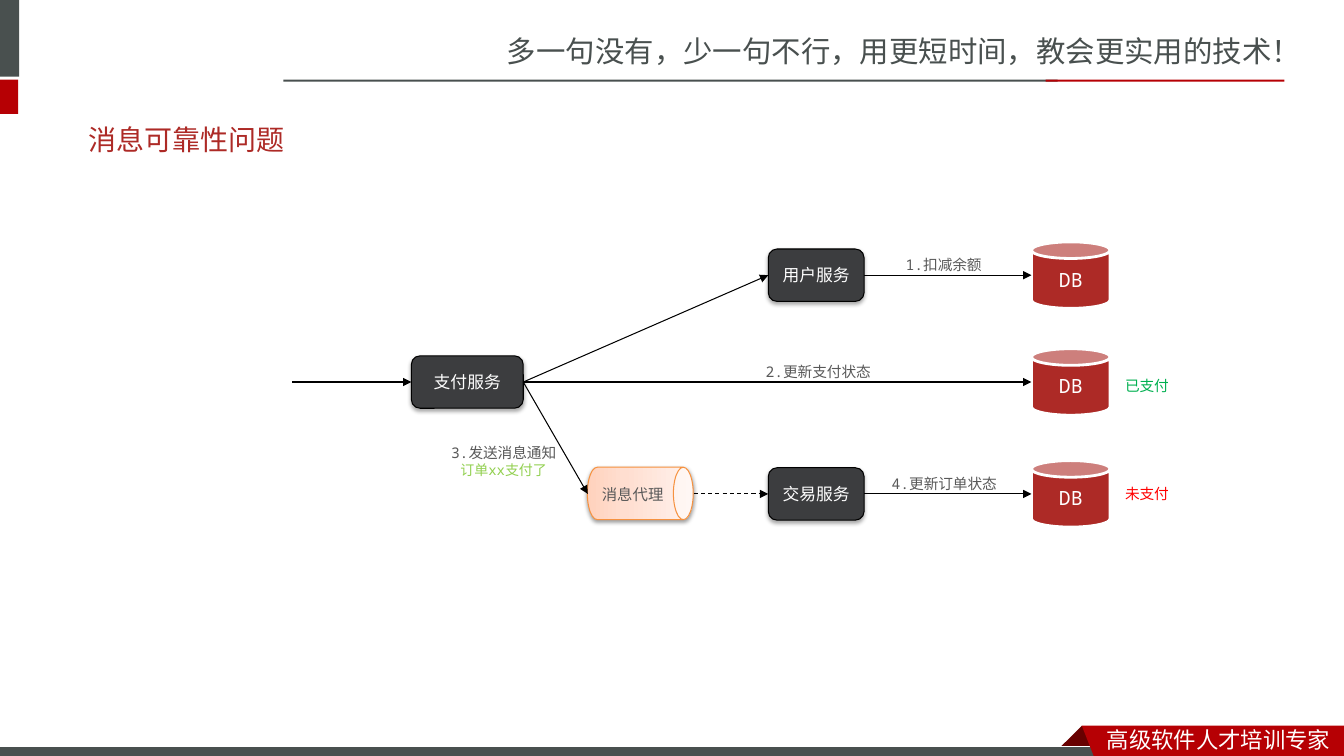
from pptx import Presentation
from pptx.dml.color import RGBColor
from pptx.enum import dml, shapes, text
from pptx.oxml import parse_xml
from pptx.oxml.ns import nsdecls, qn
from pptx.util import Inches, Pt
from lxml import etree

SLATE = RGBColor(0x49, 0x50, 0x4F)
RED = RGBColor(0xB6, 0x00, 0x04)
DARKRED = RGBColor(0x68, 0x00, 0x00)
BRICK = RGBColor(0xAD, 0x2A, 0x26)
COAL = RGBColor(0x3C, 0x3D, 0x3F)
GREY = RGBColor(0x59, 0x59, 0x59)
ORANGE = RGBColor(0xF6, 0x92, 0x40)
LIME = RGBColor(0x92, 0xD0, 0x50)
GREEN = RGBColor(0x00, 0xB0, 0x50)
ALERT = RGBColor(0xFF, 0x00, 0x00)
WHITE = RGBColor(0xFF, 0xFF, 0xFF)
BLACK = RGBColor(0x00, 0x00, 0x00)
SANS, MONO, LATO = "Noto Sans CJK SC", "Noto Sans Mono", "Lato"
KIND = shapes.MSO_SHAPE
LEFT, MID = text.PP_ALIGN.LEFT, text.PP_ALIGN.CENTER

USER, PAY, TRADE = 2.73, 3.79, 4.9  # centre heights of the three rows


def style(para, words, size, color, font, align):
    para.text = words
    para.alignment = align
    face = para.font
    face.size, face.name = Pt(size), font
    face.color.rgb = color
    props = para._p.pPr.find(qn("a:defRPr"))
    etree.SubElement(props, qn("a:ea")).set("typeface", SANS)


def add_text(slide, box, lines, font=MONO, align=LEFT):
    """Each line is (words, size, colour)."""
    frame = slide.shapes.add_textbox(*map(Inches, box)).text_frame
    frame.word_wrap = True
    for i, (words, size, color) in enumerate(lines):
        para = frame.add_paragraph() if i else frame.paragraphs[0]
        style(para, words, size, color, font, align)
    return frame


def paint(shape, fill, line=None, width=0.75):
    shape.shadow.inherit = False
    shape.fill.solid()
    shape.fill.fore_color.rgb = fill
    if line is None:
        shape.line.fill.background()
    else:
        shape.line.color.rgb = line
        shape.line.width = Pt(width)


def add_shape(slide, kind, box, fill, line=None, width=0.75):
    shape = slide.shapes.add_shape(kind, *map(Inches, box))
    paint(shape, fill, line, width)
    return shape


def add_free(slide, points, fill):
    spots = [(Inches(x), Inches(y)) for x, y in points]
    build = slide.shapes.build_freeform(*spots[0])
    build.add_line_segments(spots[1:])
    paint(build.convert_to_shape(), fill)


def add_shade(shape, alpha, dist):
    effects = shape._element.spPr.find(qn("a:effectLst"))
    effects.append(parse_xml(
        f'<a:outerShdw {nsdecls("a")} blurRad="{Pt(3.1)}" dist="{Pt(dist)}" '
        f'dir="5400000" rotWithShape="0"><a:srgbClr val="000000">'
        f'<a:alpha val="{alpha * 1000}"/></a:srgbClr></a:outerShdw>'))


def write(shape, words, size):
    frame = shape.text_frame
    frame.vertical_anchor = text.MSO_ANCHOR.MIDDLE
    style(frame.paragraphs[0], words, size, WHITE, MONO, MID)


def add_service(slide, words, left, row, width=0.95):
    box = add_shape(slide, KIND.ROUNDED_RECTANGLE,
                    (left, row - 0.26, width, 0.52), COAL, BLACK)
    add_shade(box, 35, 1.8)
    write(box, words, 12)
    return box


def add_store(slide, row):
    can = add_shape(slide, KIND.CAN, (10.23, row - 0.33, 0.78, 0.66),
                    BRICK, WHITE, 2)
    write(can, "DB", 14)


def add_broker(slide):
    can = add_shape(slide, KIND.CAN, (6.09, 4.37, 0.52, 1.05), WHITE, ORANGE)
    can.rotation = 90
    can.adjustments[0] = 0.378
    add_shade(can, 38, 1.6)
    stops = "".join(
        f'<a:gs pos="{pos}"><a:srgbClr val="{tint}"/></a:gs>' for pos, tint in
        ((0, "FFD2BD"), (35000, "FFDED0"), (100000, "FFF2ED")))
    props = can._element.spPr
    props.replace(props.find(qn("a:solidFill")), parse_xml(
        f'<a:gradFill {nsdecls("a")} rotWithShape="1"><a:gsLst>{stops}</a:gsLst>'
        f'<a:lin ang="16200000" scaled="1"/></a:gradFill>'))
    add_text(slide, (5.83, 4.78, 0.89, 0.24), [("消息代理", 11, GREY)],
             align=MID).vertical_anchor = text.MSO_ANCHOR.MIDDLE


def add_arrow(slide, start, end, source=None, target=None, dash=False):
    """Joins the right side of source and the left side of target, if given."""
    line = slide.shapes.add_connector(
        shapes.MSO_CONNECTOR.STRAIGHT, *map(Inches, start + end))
    if source is not None:
        line.begin_connect(source, 3)
    if target is not None:
        line.end_connect(target, 1)
    line.line.color.rgb = BLACK
    line.line.width = Pt(0.75)
    if dash:
        line.line.dash_style = dml.MSO_LINE.DASH
    etree.SubElement(line.line._get_or_add_ln(), qn("a:tailEnd")).set(
        "type", "triangle")
    etree.SubElement(line._element.spPr, qn("a:effectLst"))


def add_label(slide, words, left, row, width=1.25):
    add_text(slide, (left, row - 0.24, width, 0.28), [(words, 10.5, GREY)],
             align=MID)


def add_frame(slide):
    """Header and footer bands with their slogans."""
    add_text(slide, (4.93, 0.28, 8.41, 0.47),
             [("多一句没有，少一句不行，用更短时间，教会更实用的技术！", 21, SLATE)], SANS)
    for box, color in (((-0.06, 0, 0.25, 0.76), SLATE),
                       ((-0.06, 0.79, 0.24, 0.34), RED),
                       ((2.81, 0.79, 7.68, 0.02), SLATE),
                       ((10.37, 0.79, 2.37, 0.02), RED)):
        add_shape(slide, KIND.RECTANGLE, box, color)
    add_free(slide, [(10.73, 7.2), (10.95, 7.42), (10.94, 7.43),
                     (10.52, 7.43), (10.51, 7.42)], DARKRED)
    add_shape(slide, KIND.RECTANGLE, (-0.01, 7.41, 11, 0.12), SLATE, WHITE)
    add_free(slide, [(10.73, 7.2), (13.33, 7.2), (13.33, 7.54),
                     (10.86, 7.53)], RED)
    add_text(slide, (10.88, 7.15, 2.45, 0.37),
             [("高级软件人才培训专家", 16, WHITE)], SANS)


def main():
    deck = Presentation()
    deck.slide_width, deck.slide_height = Inches(13.33), Inches(7.5)
    slide = deck.slides.add_slide(deck.slide_layouts[6])
    add_frame(slide)
    title = add_text(slide, (0.78, 1.1, 11.75, 0.57),
                     [("消息可靠性问题", 20, BRICK)], LATO)
    title.vertical_anchor = text.MSO_ANCHOR.MIDDLE

    pay = add_service(slide, "支付服务", 4.08, PAY, 1.11)
    user = add_service(slide, "用户服务", 7.62, USER)
    trade = add_service(slide, "交易服务", 7.62, TRADE)
    for row in (USER, PAY, TRADE):
        add_store(slide, row)
    add_broker(slide)

    out = (5.19, PAY)
    add_arrow(slide, (2.9, PAY), (4.08, PAY), target=pay)
    add_arrow(slide, out, (7.62, USER), pay, user)
    add_arrow(slide, out, (10.23, PAY), pay)
    add_arrow(slide, out, (5.83, TRADE), pay)
    add_arrow(slide, (6.88, TRADE), (7.62, TRADE), target=trade, dash=True)
    for source, row in ((user, USER), (trade, TRADE)):
        add_arrow(slide, (8.57, row), (10.23, row), source)

    add_label(slide, "1.扣减余额", 8.88, USER, 0.96)
    add_label(slide, "2.更新支付状态", 7.49, PAY)
    add_label(slide, "4.更新订单状态", 8.74, TRADE)
    add_text(slide, (4.37, 4.35, 1.25, 0.45),
             [("3.发送消息通知", 10.5, GREY), ("订单xx支付了", 10, LIME)], align=MID)
    for words, top, color in (("已支付", 3.69, GREEN), ("未支付", 4.76, ALERT)):
        add_text(slide, (11.06, top, 0.64, 0.28), [(words, 10.5, color)])
    deck.save("out.pptx")


if __name__ == "__main__":
    main()
